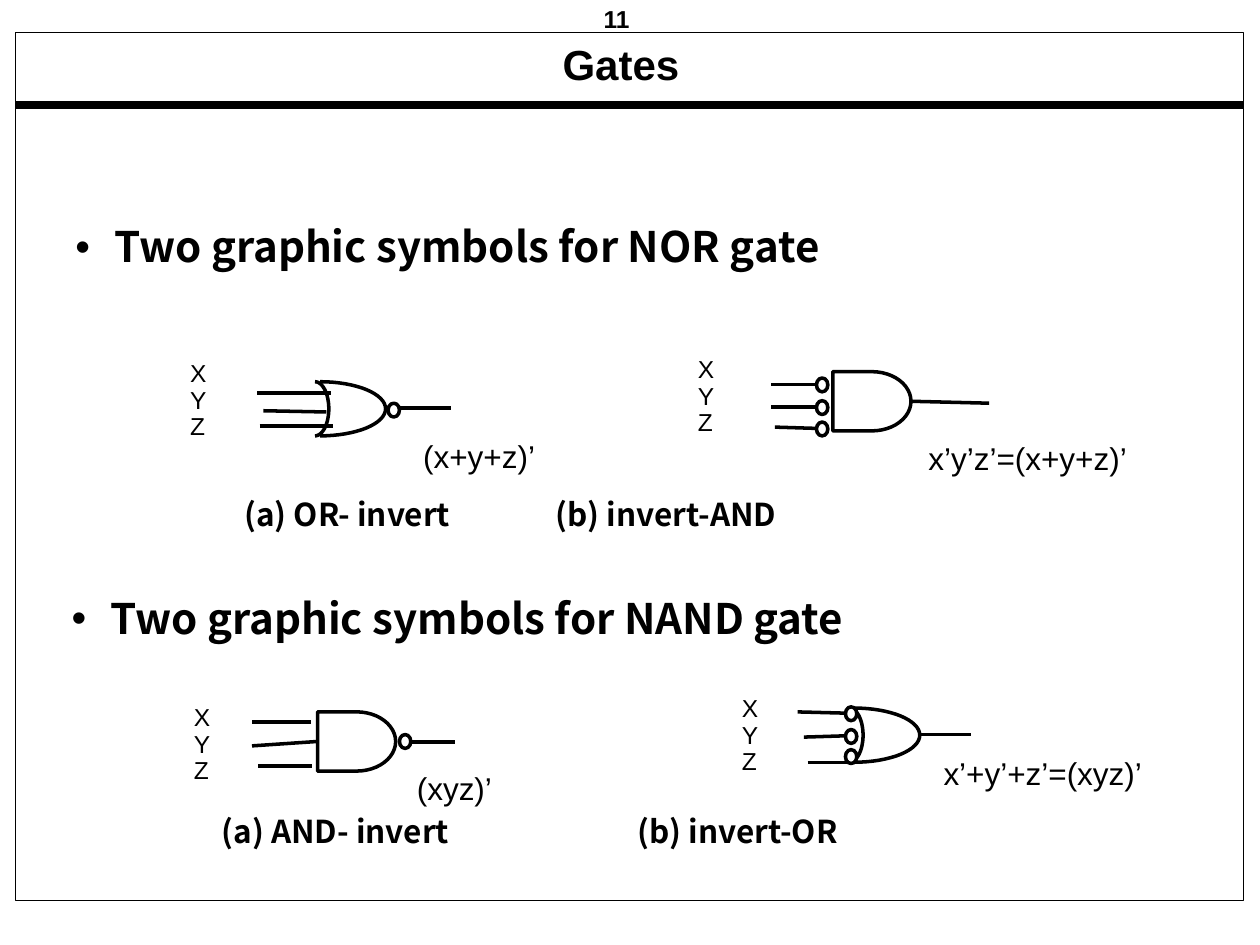
import math

from lxml import etree
from pptx import Presentation
from pptx.dml.color import RGBColor
from pptx.enum.shapes import MSO_CONNECTOR, MSO_SHAPE
from pptx.enum.text import PP_ALIGN
from pptx.oxml.ns import qn
from pptx.util import Inches, Pt

STRAIGHT = MSO_CONNECTOR.STRAIGHT
RECTANGLE = MSO_SHAPE.RECTANGLE
OVAL = MSO_SHAPE.OVAL
AND_BODY = MSO_SHAPE.FLOWCHART_DELAY
LEFT_SIDE, RIGHT_SIDE = 1, 3

SANS = "Arial"
HEADING = "Noto Sans CJK KR"
BLACK = "000000"
WHITE = "FFFFFF"
ARC_STEPS = 32
GATE_HEIGHT = 0.43


def color(value):
    return RGBColor.from_string(value)


class GatePage:
    """Draws logic gates and their labels on one slide; lengths are inches."""

    def __init__(self, page):
        self.page = page
        self.stroke = 2

    def text(self, left, top, width, height, words, size, font=SANS, bold=False,
             align=None, spacing=0.9, inset=(0.1, 0.05), wrap=True):
        box = self.page.shapes.add_textbox(
            Inches(left), Inches(top), Inches(width), Inches(height))
        frame = box.text_frame
        frame.word_wrap = wrap
        frame.margin_left = frame.margin_right = Inches(inset[0])
        frame.margin_top = frame.margin_bottom = Inches(inset[1])
        frame.text = words
        for para in frame.paragraphs:
            para.alignment = align
            para.line_spacing = spacing
            for span in para.runs:
                span.font.name = font
                span.font.size = Pt(size)
                span.font.bold = bold
                span.font.color.rgb = color(BLACK)
                east_asian = etree.SubElement(span.font._element, qn("a:ea"))
                east_asian.set("typeface", font)
        return box

    def bullet(self, left, top, words):
        box = self.text(left, top, 9, 0.8, words, 24, HEADING, True)
        props = box.text_frame.paragraphs[0]._p.get_or_add_pPr()
        props.set("marL", str(Inches(0.31)))
        props.set("indent", str(-Inches(0.31)))
        etree.SubElement(props, qn("a:buFont")).set("typeface", SANS)
        etree.SubElement(props, qn("a:buChar")).set("char", "•")

    def captions(self, left, top, first, second, gap):
        """Two captions on one line, the second at a tab stop."""
        box = self.text(left, top, 7.8, 0.6, f"{first}\t{second}", 18, HEADING, True)
        props = box.text_frame.paragraphs[0]._p.get_or_add_pPr()
        stops = etree.SubElement(props, qn("a:tabLst"))
        etree.SubElement(stops, qn("a:tab"), pos=str(Inches(gap)), algn="l")

    def input_names(self, left, top):
        self.text(left, top, 0.42, 1.01, "X\nY\nZ", 14)

    def formula(self, left, top, width, words):
        self.text(left, top, width, 0.37, words, 18)

    def shape(self, kind, left, top, width, height, fill=WHITE, stroke=None):
        item = self.page.shapes.add_shape(
            kind, Inches(left), Inches(top), Inches(width), Inches(height))
        item.shadow.inherit = False
        if fill:
            item.fill.solid()
            item.fill.fore_color.rgb = color(fill)
        else:
            item.fill.background()
        item.line.color.rgb = color(BLACK)
        item.line.width = Pt(stroke or self.stroke)
        return item

    def bubble(self, left, top):
        self.shape(OVAL, left, top, 0.09, 0.11)

    def and_body(self, left, top):
        return self.shape(AND_BODY, left, top, 0.62, 0.47)

    def wire(self, x1, y1, x2, y2, begin=None, end=None, stroke=None):
        """A line whose begin or end may be a (shape, side) to join."""
        line = self.page.shapes.add_connector(
            STRAIGHT, Inches(x1), Inches(y1), Inches(x2), Inches(y2))
        if begin:
            line.begin_connect(*begin)
        if end:
            line.end_connect(*end)
        line.line.color.rgb = color(BLACK)
        line.line.width = Pt(stroke or self.stroke)
        etree.SubElement(line._element.spPr, qn("a:effectLst"))

    def arc(self, left, top, width):
        """The right half of an ellipse, as high as an OR gate."""
        radius = GATE_HEIGHT / 2
        angles = [math.pi * (step / ARC_STEPS - 0.5) for step in range(ARC_STEPS + 1)]
        points = [(Inches(left + width * math.cos(angle)),
                   Inches(top + radius + radius * math.sin(angle))) for angle in angles]
        builder = self.page.shapes.build_freeform(*points[0])
        builder.add_line_segments(points[1:], close=False)
        curve = builder.convert_to_shape()
        curve.shadow.inherit = False
        curve.fill.background()
        curve.line.color.rgb = color(BLACK)
        curve.line.width = Pt(self.stroke)

    def or_body(self, left, top):
        self.arc(left + 0.04, top, 0.52)
        self.arc(left, top, 0.11)


def draw_frame(page):
    page.text(4.72, 0, 0.38, 0.29, "11", 14, bold=True, spacing=1.01,
              inset=(0.07, 0.03), wrap=False)
    page.wire(0.12, 0.83, 9.87, 0.83, stroke=4.5)
    page.shape(RECTANGLE, 0.12, 0.26, 9.75, 6.89, fill=None, stroke=0.5)
    page.text(0.16, 0.32, 9.63, 0.42, "Gates ", 24, bold=True,
              align=PP_ALIGN.CENTER, inset=(0.07, 0.03))


def draw_nor(page):
    page.bullet(0.5, 1.75, "Two graphic symbols for NOR gate")

    page.or_body(2.5, 3.03)
    for ends in ((2.04, 3.12, 2.63, 3.12), (2.09, 3.26, 2.59, 3.27),
                 (2.06, 3.38, 2.64, 3.38), (3.16, 3.24, 3.58, 3.24)):
        page.wire(*ends)
    page.bubble(3.08, 3.2)
    page.input_names(1.41, 2.82)
    page.formula(3.26, 3.45, 1.71, "(x+y+z)’")

    body = page.and_body(6.61, 2.95)
    page.wire(7.23, 3.19, 7.85, 3.2, begin=(body, RIGHT_SIDE))
    for top in (3, 3.18, 3.35):
        page.bubble(6.48, top)
    for ends in ((6.12, 3.05, 6.48, 3.05), (6.12, 3.23, 6.48, 3.23),
                 (6.15, 3.39, 6.48, 3.4)):
        page.wire(*ends)
    page.input_names(5.44, 2.79)
    page.formula(7.27, 3.47, 2.17, "x’y’z’=(x+y+z)’")

    page.captions(1.84, 3.91, "(a) OR- invert", "(b) invert-AND", 2.47)


def draw_nand(page):
    page.bullet(0.47, 4.7, "Two graphic symbols for NAND gate")

    body = page.and_body(2.52, 5.65)
    page.bubble(3.17, 5.83)
    page.wire(2, 5.92, 2.52, 5.89, end=(body, LEFT_SIDE))
    for ends in ((2, 5.73, 2.47, 5.73), (2.05, 6.08, 2.48, 6.08),
                 (3.26, 5.89, 3.61, 5.89)):
        page.wire(*ends)
    page.input_names(1.44, 5.55)
    page.formula(3.21, 6.09, 1.71, "(xyz)’")

    page.or_body(6.74, 5.62)
    for top in (5.61, 5.79, 5.95):
        page.bubble(6.71, top)
    for ends in ((6.33, 5.65, 6.71, 5.66), (6.38, 5.85, 6.71, 5.84),
                 (6.41, 6.05, 6.73, 6.05), (7.3, 5.83, 7.71, 5.83)):
        page.wire(*ends)
    page.input_names(5.79, 5.48)
    page.formula(7.39, 5.97, 2.17, "x’+y’+z’=(xyz)’")

    page.captions(1.66, 6.43, "(a) AND- invert", "(b) invert-OR", 3.3)


def main():
    deck = Presentation()
    deck.slide_width = Inches(10)
    deck.slide_height = Inches(7.5)
    page = GatePage(deck.slides.add_slide(deck.slide_layouts[6]))
    draw_frame(page)
    draw_nor(page)
    draw_nand(page)
    deck.save("out.pptx")


if __name__ == "__main__":
    main()
